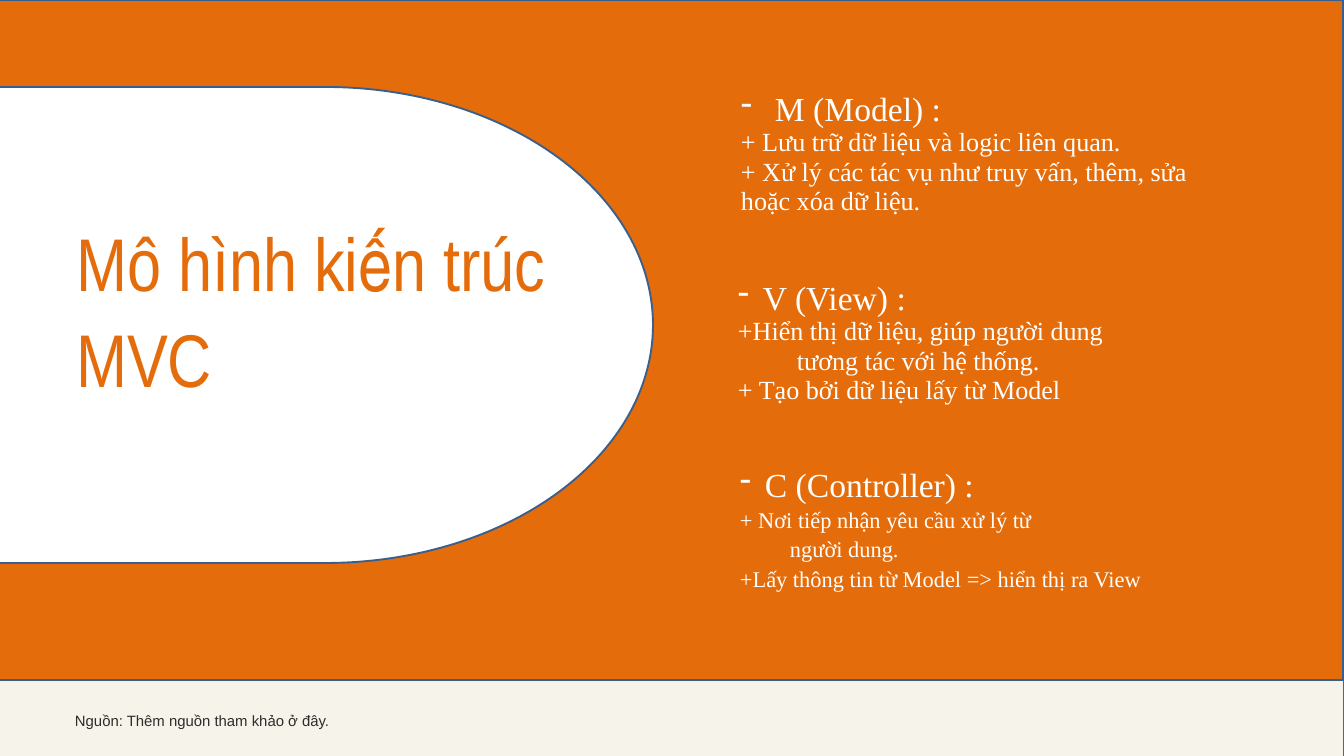
import pptx
import pptx.dml.color
import pptx.enum.shapes
import pptx.enum.text
import pptx.util
import pptx.oxml.ns
import lxml.etree

SLIDE_W, SLIDE_H = 1344, 756
EMU_PER_PX = 20 * 914400 / SLIDE_W

COLORS = {
    "green": "278067",
    "orange": "E46C0A",
    "cream": "F6F4EA",
    "white": "FFFFFF",
    "outline": "3A5F8C",
    "ink": "2C2C2C",
}


def px(length):
    return pptx.util.Emu(round(length * EMU_PER_PX))


def color(name):
    return pptx.dml.color.RGBColor.from_string(COLORS[name])


class Deck:
    """Holds the shared style and the current slide."""

    outline_pt = 2
    bullet = "-"

    def __init__(self):
        self.presentation = pptx.Presentation()
        self.presentation.slide_width = px(SLIDE_W)
        self.presentation.slide_height = px(SLIDE_H)

    def add_slide(self, background):
        title_only = self.presentation.slide_layouts[5]
        self.slide = self.presentation.slides.add_slide(title_only)
        fill = self.slide.background.fill
        fill.solid()
        fill.fore_color.rgb = color(background)

    def panel(self, preset, box, fill, outline=None):
        panel = self.slide.shapes.add_shape(preset, *map(px, box))
        panel.shadow.inherit = False
        panel.fill.solid()
        panel.fill.fore_color.rgb = color(fill)
        if outline:
            panel.line.color.rgb = color(outline)
            panel.line.width = pptx.util.Pt(self.outline_pt)
        else:
            panel.line.fill.background()

    def frame(self, holder):
        frame = holder.text_frame
        frame.margin_left = frame.margin_right = 0
        frame.margin_top = frame.margin_bottom = 0
        frame.word_wrap = True
        frame.vertical_anchor = pptx.enum.text.MSO_ANCHOR.TOP
        frame.auto_size = pptx.enum.text.MSO_AUTO_SIZE.NONE
        return frame

    def format(self, paragraph, font, size, fill, spacing):
        paragraph.alignment = pptx.enum.text.PP_ALIGN.LEFT
        paragraph.line_spacing = pptx.util.Pt(spacing)
        for run in paragraph.runs:
            run.font.name = font
            run.font.size = pptx.util.Pt(size)
            run.font.color.rgb = color(fill)

    def indent(self, paragraph, left, bullet=False):
        properties = paragraph._p.get_or_add_pPr()
        properties.set("marL", str(px(left)))
        properties.set("indent", str(-px(left) if bullet else 0))
        if bullet:
            mark = lxml.etree.SubElement(properties, pptx.oxml.ns.qn("a:buChar"))
            mark.set("char", self.bullet)

    def title(self, box, text):
        title = self.slide.shapes.title
        title.left, title.top, title.width, title.height = map(px, box)
        # Bring the title in front of the panels drawn so far
        self.slide.shapes._spTree.append(title._element)
        frame = self.frame(title)
        frame.text = text
        for paragraph in frame.paragraphs:
            self.format(paragraph, "Arial Narrow", 80, "orange", 103.2)

    def source(self, box, text):
        frame = self.frame(self.slide.shapes.add_textbox(*map(px, box)))
        frame.text = text
        self.format(frame.paragraphs[0], "Arial", 16, "ink", 20.8)

    def section(self, box, heading, heading_indent, details, size):
        """Details are (text, left indent) pairs below a bulleted heading."""
        frame = self.frame(self.slide.shapes.add_textbox(*map(px, box)))
        frame.text = "\n".join([heading] + [text for text, _ in details])
        first, *rest = frame.paragraphs
        self.indent(first, heading_indent, bullet=True)
        self.format(first, "Times New Roman", 36, "white", 31.2)
        for paragraph, (_, left) in zip(rest, details):
            self.indent(paragraph, left)
            self.format(paragraph, "Times New Roman", size, "white", 31.2)


def main():
    deck = Deck()
    deck.add_slide("green")
    presets = pptx.enum.shapes.MSO_SHAPE

    # Footer band and source line
    deck.panel(presets.RECTANGLE, (0, 680, 1343, 76), "cream")
    deck.source((75, 710, 1177, 17), "Nguồn: Thêm nguồn tham khảo ở đây.")

    # Orange field, white title panel and title
    deck.panel(presets.RECTANGLE, (-1, 0, 1344, 680), "orange", "outline")
    deck.panel(presets.FLOWCHART_DELAY, (-2, 87, 655, 476), "white", "outline")
    deck.title((76, 210, 471, 194), "Mô hình kiến trúc\nMVC")

    # The three parts of the pattern
    deck.section((741, 99, 473, 117), "M (Model) :", 34, [
        ("+ Lưu trữ dữ liệu và logic liên quan.", 0),
        ("+ Xử lý các tác vụ như truy vấn, thêm, sửa hoặc xóa dữ liệu.", 0),
    ], 28)
    deck.section((738, 288, 473, 117), "V (View) :", 25, [
        ("+Hiển thị dữ liệu, giúp người dung", 0),
        ("tương tác với hệ thống.", 59),
        ("+ Tạo bởi dữ liệu lấy từ Model", 0),
    ], 28)
    deck.section((740, 475, 473, 115), "C (Controller) :", 25, [
        ("+ Nơi tiếp nhận yêu cầu xử lý từ", 0),
        ("người dung.", 50),
        ("+Lấy thông tin từ Model => hiển thị ra View", 0),
    ], 24)

    deck.presentation.save("out.pptx")


if __name__ == "__main__":
    main()
